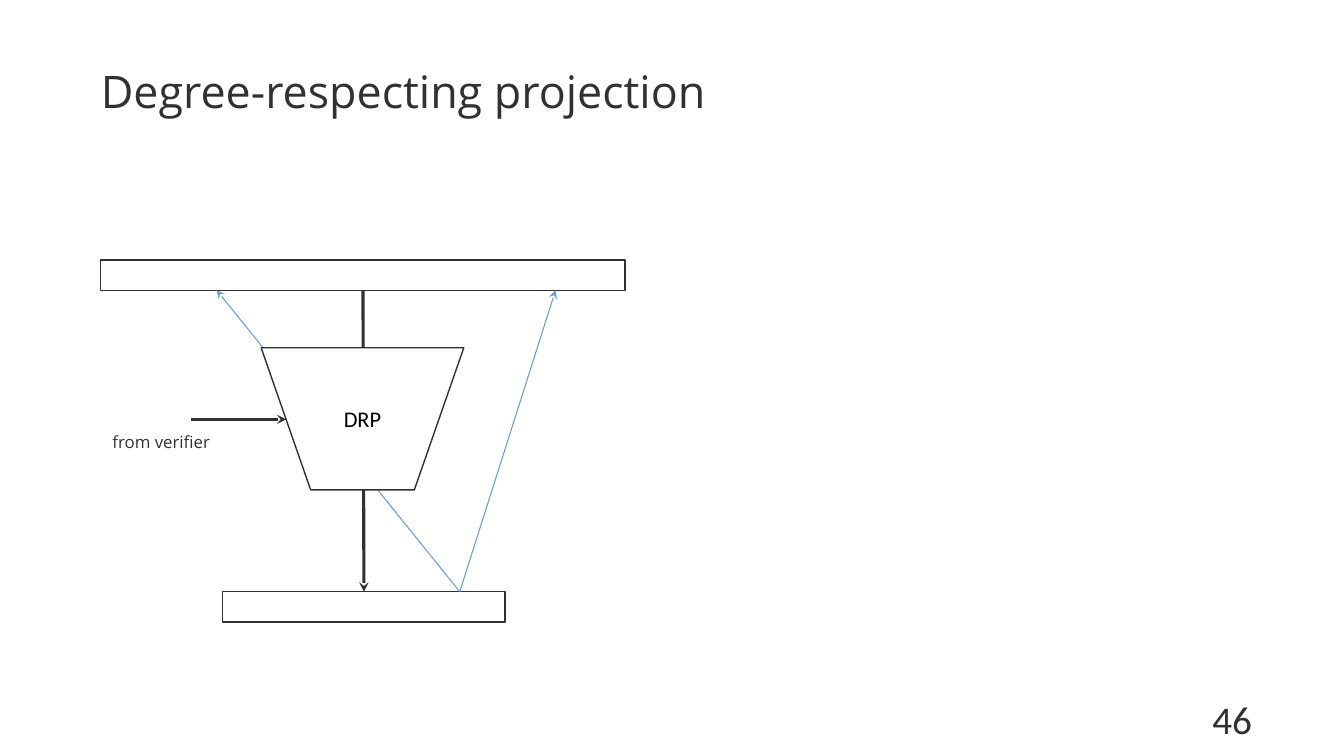
from lxml.etree import SubElement
from pptx import Presentation
from pptx.dml.color import RGBColor
from pptx.enum.shapes import MSO_CONNECTOR, MSO_SHAPE
from pptx.enum.text import MSO_ANCHOR, PP_ALIGN
from pptx.oxml.ns import qn
from pptx.util import Inches, Pt

COLORS = {"ink": "313131", "label": "000000", "paper": "FFFFFF", "query": "629BDF"}


def color(name):
    """Return the named colour."""
    return RGBColor.from_string(COLORS[name])


def add_text(slide, box, text, size, font="Open Sans", ink="ink",
             align=PP_ALIGN.CENTER, anchor=MSO_ANCHOR.MIDDLE, side_inset=0.1):
    """Write one line of text in a box."""
    frame = slide.shapes.add_textbox(*map(Inches, box)).text_frame
    frame.word_wrap = True
    frame.vertical_anchor = anchor
    frame.margin_left = frame.margin_right = Inches(side_inset)
    paragraph = frame.paragraphs[0]
    paragraph.text = text
    paragraph.alignment = align
    paragraph.font.name = font
    paragraph.font.size = Pt(size)
    paragraph.font.color.rgb = color(ink)


def add_outline(slide, kind, box, fill=None):
    """Add an outlined shape, filled only when a colour is named."""
    outline = slide.shapes.add_shape(kind, *map(Inches, box))
    outline.shadow.inherit = False
    if fill:
        outline.fill.solid()
        outline.fill.fore_color.rgb = color(fill)
    else:
        outline.fill.background()
    outline.line.color.rgb = color("ink")
    outline.line.width = Pt(1)
    return outline


def add_arrow(slide, start, end, ink="ink", width=2.25):
    """Add a straight arrow with a stealth head."""
    arrow = slide.shapes.add_connector(
        MSO_CONNECTOR.STRAIGHT, *map(Inches, (*start, *end)))
    arrow.line.color.rgb = color(ink)
    arrow.line.width = Pt(width)
    SubElement(arrow.line._get_or_add_ln(), qn("a:tailEnd"), type="stealth")
    SubElement(arrow._element.spPr, qn("a:effectLst"))
    return arrow


def add_drp(slide, left, top, width, height):
    """Draw the projection block with its label."""
    funnel = add_outline(slide, MSO_SHAPE.TRAPEZOID, (left, top, width, height), "paper")
    funnel.adjustments[0] = 0.348
    funnel.rotation = 180
    add_text(slide, (left, top + 0.44, width, 0.53), "DRP", 16,
             font="Calibri", ink="label", side_inset=0)


def add_projection(slide, left, top, width, height):
    """Draw the long word projected to the short one through the DRP block."""
    bar = 0.3
    short_top = top + height - bar
    long_word = add_outline(slide, MSO_SHAPE.RECTANGLE, (left, top, width, bar))
    short_word = add_outline(slide, MSO_SHAPE.RECTANGLE, (left + 1.21, short_top, 2.8, bar))

    projection = add_arrow(slide, (left + width / 2, top + bar), (left + 2.61, short_top))
    projection.begin_connect(long_word, 2)
    projection.end_connect(short_word, 0)

    add_arrow(slide, (left + 0.89, top + 1.58), (left + 1.84, top + 1.58))
    add_text(slide, (left, top + 1.6, 1.2, 0.4), "from verifier", 12)
    for target in (4.51, 1.15):
        add_arrow(slide, (left + 3.56, short_top), (left + target, top + bar), "query", 0.75)
    add_drp(slide, left + 1.59, top + 0.87, 2.01, 1.41)


def build_slide(prs):
    """Build the slide on degree-respecting projection."""
    slide = prs.slides.add_slide(prs.slide_layouts[6])
    add_text(slide, (1, 0.5, 11.33, 0.8), "Degree-respecting projection", 32,
             align=PP_ALIGN.LEFT, side_inset=0)
    add_projection(slide, 1, 2.58, 5.2, 3.59)
    add_text(slide, (11.11, 6.85, 2.22, 0.4), "46", 28,
             font="Calibri", anchor=MSO_ANCHOR.TOP)


def main():
    """Create and save the presentation."""
    prs = Presentation()
    prs.slide_width, prs.slide_height = Inches(13.33), Inches(7.5)
    build_slide(prs)
    prs.save("out.pptx")


if __name__ == "__main__":
    main()
